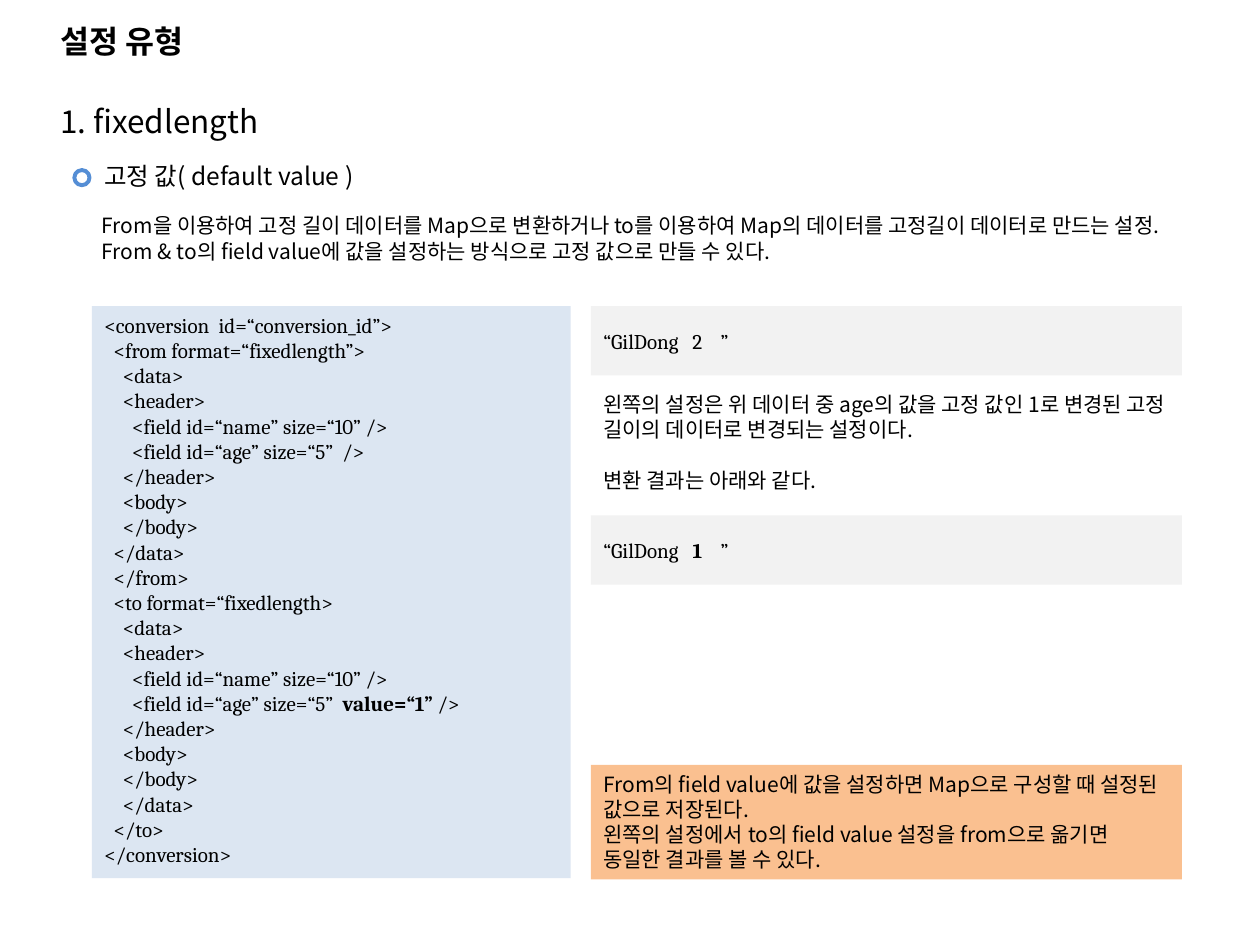
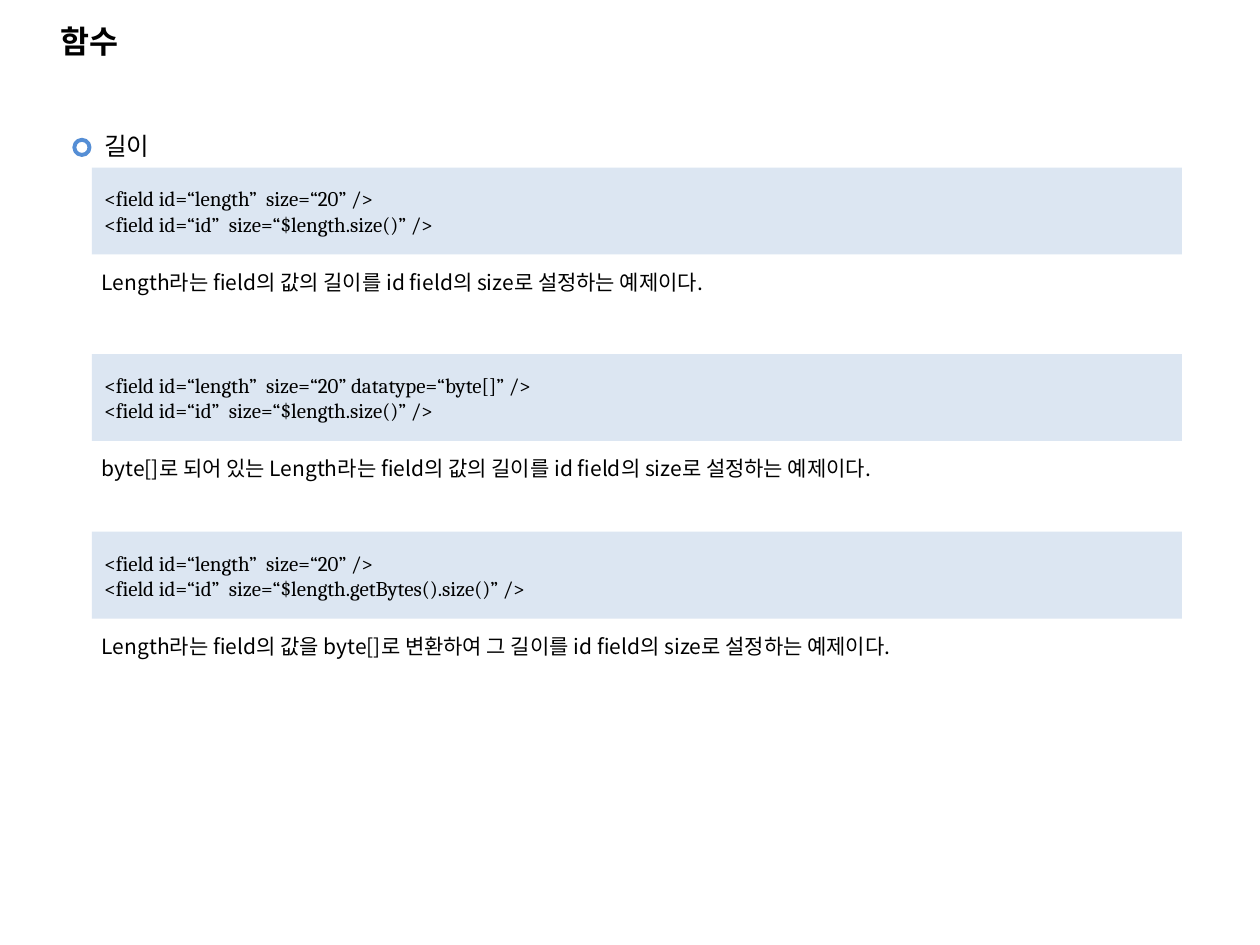
from dataclasses import dataclass

from lxml import etree
from pptx import Presentation
from pptx import util as u
from pptx.dml.color import RGBColor
from pptx.enum import shapes, text
from pptx.oxml import ns


@dataclass(frozen=True)
class Theme:
    sans: str = "Noto Sans CJK KR"
    code: str = "Cambria"
    ink: str = "000000"
    bullet: str = "558ED5"
    code_fill: str = "DCE6F2"
    data_fill: str = "F2F2F2"
    note_fill: str = "FAC090"
    title_size: int = 18
    topic_size: int = 14
    body_size: int = 12
    line_factor: float = 1.2


@dataclass(frozen=True)
class Box:
    left: float
    top: float
    width: float
    height: float


@dataclass(frozen=True)
class Example:
    top: float
    code: str
    caption: str


THEME = Theme()
RIGHT_EDGE = 9.38
PANEL_LEFT = 0.73
COLUMN_LEFT = 4.69
COLUMN_WIDTH = RIGHT_EDGE - COLUMN_LEFT

CONVERSION_CODE = """\
<conversion  id=“conversion_id”>
  <from format=“fixedlength”>
    <data>
    <header>
      <field id=“name” size=“10” />
      <field id=“age” size=“5”  />
    </header>
    <body>
    </body>
  </data>
  </from>
  <to format=“fixedlength>
    <data>
    <header>
      <field id=“name” size=“10” />
      <field id=“age” size=“5”  **value=“1”** />
    </header>
    <body>
    </body>
    </data>
  </to>
</conversion>"""

EXAMPLES = (
    Example(1.33, "<field id=“length”  size=“20” />\n"
                  "<field id=“id”  size=“$length.size()” />",
            "Length라는 field의 값의 길이를 id field의 size로 설정하는 예제이다."),
    Example(2.81, "<field id=“length”  size=“20” datatype=“byte[]” />\n"
                  "<field id=“id”  size=“$length.size()” />",
            "byte[]로 되어 있는 Length라는 field의 값의 길이를 id field의 size로 설정하는 예제이다."),
    Example(4.22, "<field id=“length”  size=“20” />\n"
                  "<field id=“id”  size=“$length.getBytes().size()” />",
            "Length라는 field의 값을 byte[]로 변환하여 그 길이를 id field의 size로 설정하는 예제이다."),
)


def lengths(box: Box) -> tuple:
    return tuple(u.Inches(value) for value in (box.left, box.top, box.width, box.height))


def write_text(shape, content: str, *, size: int = THEME.body_size,
               font: str = THEME.sans, bold: bool = False,
               anchor=text.MSO_ANCHOR.TOP, gap: float = 0) -> None:
    """Write one paragraph a line; ** switches bold on and off."""
    frame = shape.text_frame
    frame.word_wrap = True
    frame.vertical_anchor = anchor
    for index, line in enumerate(content.split("\n")):
        paragraph = frame.add_paragraph() if index else frame.paragraphs[0]
        paragraph.alignment = text.PP_ALIGN.LEFT
        paragraph.line_spacing = u.Pt(size * THEME.line_factor)
        if index and gap:
            paragraph.space_before = u.Pt(gap)
        for position, part in enumerate(line.split("**")):
            run = paragraph.add_run()
            run.text = part
            run.font.size = u.Pt(size)
            run.font.bold = bold or position % 2 == 1
            run.font.color.rgb = RGBColor.from_string(THEME.ink)
            run.font.name = font
            # Hangul takes the East Asian typeface
            east_asian = etree.SubElement(run.font._element, ns.qn("a:ea"))
            east_asian.set("typeface", font)


def add_text(slide, box: Box, content: str, **style) -> None:
    write_text(slide.shapes.add_textbox(*lengths(box)), content, **style)


def add_panel(slide, box: Box, fill: str, content: str, **style) -> None:
    shape = slide.shapes.add_shape(shapes.MSO_SHAPE.RECTANGLE, *lengths(box))
    shape.shadow.inherit = False
    shape.fill.solid()
    shape.fill.fore_color.rgb = RGBColor.from_string(fill)
    shape.line.fill.background()
    write_text(shape, content, **style)


def add_topic(slide, top: float, content: str) -> None:
    """Ring bullet with its topic heading."""
    ring = slide.shapes.add_shape(shapes.MSO_SHAPE.OVAL,
                                  *lengths(Box(0.59, top + 0.12, 0.12, 0.12)))
    ring.shadow.inherit = False
    ring.fill.background()
    ring.line.color.rgb = RGBColor.from_string(THEME.bullet)
    ring.line.width = u.Pt(2.25)
    add_text(slide, Box(PANEL_LEFT, top, 9, 0.34), content, size=THEME.topic_size)


def add_body(slide, top: float, height: float, content: str) -> None:
    add_text(slide, Box(0.71, top, 8.67, height), content)


def new_slide(presentation, title: str):
    slide = presentation.slides.add_slide(presentation.slide_layouts[6])
    add_text(slide, Box(0.38, 0.13, 9, 0.39), title, size=THEME.title_size,
             bold=True, anchor=text.MSO_ANCHOR.BOTTOM)
    return slide


def build_settings(presentation) -> None:
    slide = new_slide(presentation, "설정 유형")
    add_text(slide, Box(0.38, 0.76, 9, 0.4), "1. fixedlength", size=THEME.title_size)
    add_topic(slide, 1.23, "고정 값( default value )")
    add_body(slide, 1.64, 0.71,
             "From을 이용하여 고정 길이 데이터를 Map으로 변환하거나 to를 이용하여 "
             "Map의 데이터를 고정길이 데이터로 만드는 설정.\n"
             "From & to의 field value에 값을 설정하는 방식으로 고정 값으로 만들 수 있다.")

    # Conversion settings on the left
    add_panel(slide, Box(PANEL_LEFT, 2.43, 3.8, 4.54), THEME.code_fill,
              CONVERSION_CODE, font=THEME.code)

    # Data before and after on the right
    for top, record in ((2.43, "“GilDong   2    ”"), (4.09, "“GilDong   **1**    ”")):
        add_panel(slide, Box(COLUMN_LEFT, top, COLUMN_WIDTH, 0.55), THEME.data_fill,
                  record, font=THEME.code, anchor=text.MSO_ANCHOR.MIDDLE)
    add_text(slide, Box(COLUMN_LEFT, 3.06, COLUMN_WIDTH, 0.91),
             "왼쪽의 설정은 위 데이터 중 age의 값을 고정 값인 1로 변경된 "
             "고정 길이의 데이터로 변경되는 설정이다.\n변환 결과는 아래와 같다.",
             gap=THEME.body_size * THEME.line_factor)
    add_panel(slide, Box(COLUMN_LEFT, 6.07, COLUMN_WIDTH, 0.91), THEME.note_fill,
              "From의 field value에 값을 설정하면 Map으로 구성할 때 설정된 값으로 저장된다.\n"
              "왼쪽의 설정에서 to의 field value 설정을 from으로 옮기면 동일한 결과를 볼 수 있다.")


def build_functions(presentation) -> None:
    slide = new_slide(presentation, "함수")
    add_topic(slide, 0.99, "길이")
    for example in EXAMPLES:
        add_panel(slide, Box(PANEL_LEFT, example.top, RIGHT_EDGE - PANEL_LEFT, 0.69),
                  THEME.code_fill, example.code, font=THEME.code,
                  anchor=text.MSO_ANCHOR.MIDDLE)
        add_body(slide, example.top + 0.76, 0.3, example.caption)


def main() -> None:
    presentation = Presentation()
    presentation.slide_width = u.Inches(10)
    presentation.slide_height = u.Inches(7.5)
    build_settings(presentation)
    build_functions(presentation)
    presentation.save("out.pptx")


if __name__ == "__main__":
    main()
